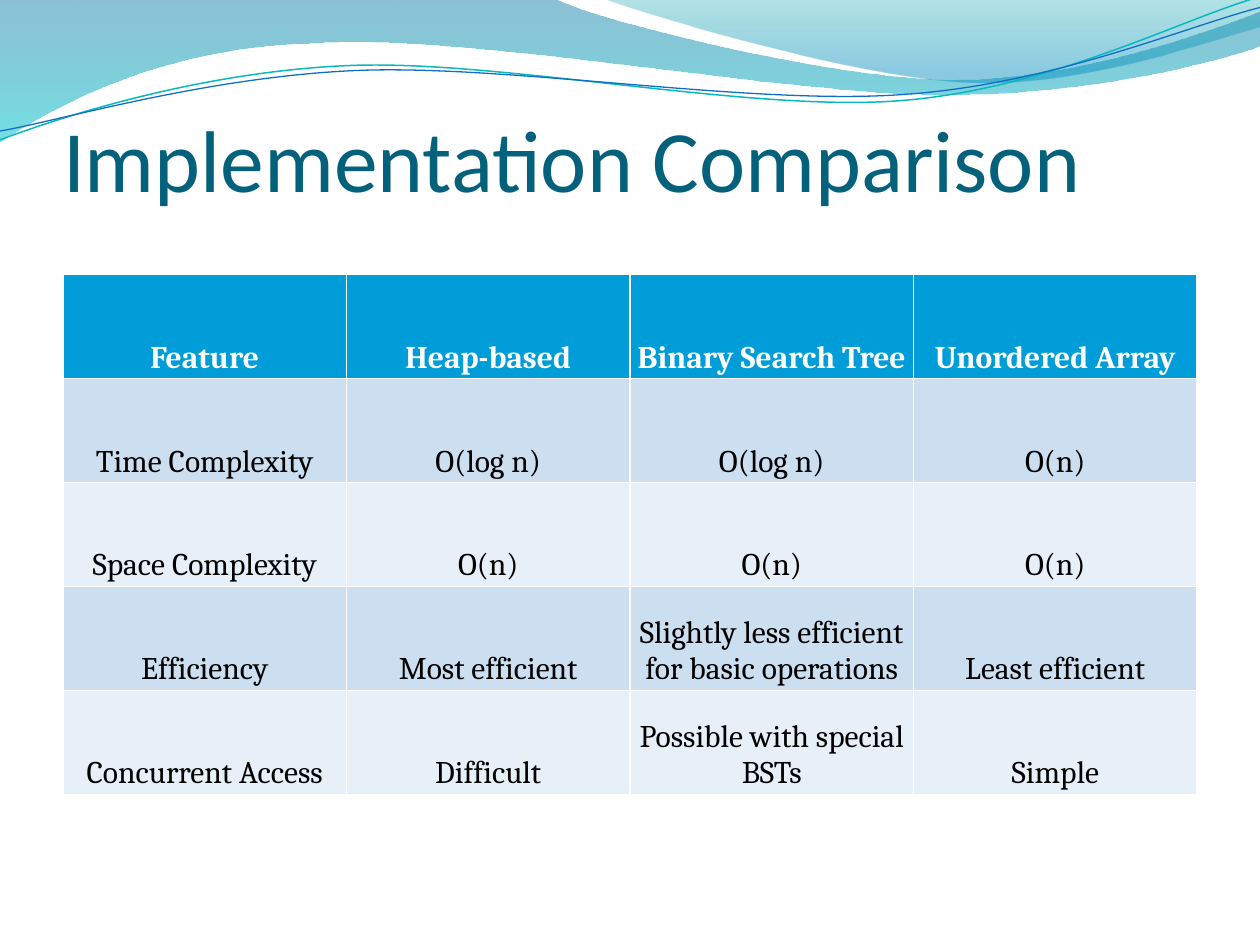
"""Build a slide that compares priority queue implementations in a table."""
import math
from lxml import etree
from pptx import Presentation, util as u
from pptx.dml.color import RGBColor
from pptx.enum import text as t
from pptx.oxml import ns

PX = 9144
TILT = 2.7
HUES = {
    "title": "04617B", "head": "009DD9", "odd": "CCDFF1", "even": "E7EFF8",
    "white": "FFFFFF", "black": "000000", "teal": "0AB8BF", "blue": "0F6FC6",
}
TITLE = "Implementation Comparison"
ROWS = [
    ("Feature", "Heap-based", "Binary Search Tree", "Unordered Array"),
    ("Time Complexity", "O(log n)", "O(log n)", "O(n)"),
    ("Space Complexity", "O(n)", "O(n)", "O(n)"),
    ("Efficiency", "Most efficient", "Slightly less efficient for basic operations", "Least efficient"),
    ("Concurrent Access", "Difficult", "Possible with special BSTs", "Simple"),
]
BANDS = [
    {
        "path": [(0, 0), (440, -1),
                 (476, 17, 664, 63, 758, 63), (853, 63, 958, 26, 1000, 9), (1001, 36),
                 (983, 44, 870, 76, 746, 75), (622, 75, 382, 28, 257, 34), (129, 36, 46, 83, -1, 113)],
        "stops": [(0, "0074A1", 45), (1, "00C6CF", 55)],
    },
    {
        "path": [(479, -1), (509, 11, 682, 62, 769, 65), (856, 69, 961, 32, 1000, 21), (1000, 0)],
        "stops": [(0, "00A1A9", 30), (0.8, "008BBF", 45)],
    },
]
WAVES = [
    {
        "path": [(0, 111), (48, 93, 158, 57, 277, 52), (395, 47, 593, 89, 713, 80), (833, 71, 938, 15, 998, -2)],
        "hue": "teal", "width": 0.85, "mid": (499, 57),
    },
    {
        "path": [(0, 104), (47, 96, 164, 61, 283, 56), (403, 51, 597, 84, 717, 75), (836, 67, 941, 21, 1000, 6)],
        "hue": "blue", "width": 0.75, "mid": (500, 59),
    },
]


def color(name):
    return RGBColor.from_string(HUES.get(name, name))


def turn(part, mid):
    sin, cos = math.sin(math.radians(TILT)), math.cos(math.radians(TILT))
    spots = []
    for x, y in zip(part[::2], part[1::2]):
        dx, dy = x - mid[0], y - mid[1]
        spots += [mid[0] + dx * cos - dy * sin, mid[1] + dx * sin + dy * cos]
    return spots


def draw(slide, path, close):
    dots = [(round(x * PX), round(y * PX)) for part in path for x, y in zip(part[::2], part[1::2])]
    pen = slide.shapes.build_freeform(*dots[0], scale=1.0)
    pen.add_line_segments(dots[1:], close=close)
    shape = pen.convert_to_shape()
    shape.shadow.inherit = False
    lines = iter(list(shape.element.iter(ns.qn("a:lnTo"))))
    for part in path[1:]:
        first = next(lines)
        if len(part) == 6:
            first.tag_name = None
            curve = etree.Element(ns.qn("a:cubicBezTo"))
            first.addprevious(curve)
            for line in (first, next(lines), next(lines)):
                curve.append(line[0])
                line.getparent().remove(line)
    return shape


def add_band(slide, path, stops):
    shape = draw(slide, path, True)
    shape.line.fill.background()
    shape.fill.gradient()
    shape.fill.gradient_angle = 270
    for stop, (place, hue, _) in zip(shape.fill.gradient_stops, stops):
        stop.position = place
        stop.color.rgb = color(hue)
    tags = shape.element.iter(ns.qn("a:srgbClr"))
    for tag, (_, _, alpha) in zip(tags, stops):
        etree.SubElement(tag, ns.qn("a:alpha"), val=str(alpha * 1000))


def add_wave(slide, path, hue, width, mid):
    shape = draw(slide, [turn(part, mid) for part in path], False)
    shape.rotation = -TILT
    shape.fill.background()
    shape.line.color.rgb = color(hue)
    shape.line.width = u.Pt(width)


def write(frame, words, font, size, hue, bold=False, align=t.PP_ALIGN.LEFT):
    frame.word_wrap = True
    para = frame.paragraphs[0]
    para.alignment = align
    run = para.add_run()
    run.text = words
    run.font.name, run.font.size, run.font.bold = font, u.Pt(size), bold
    run.font.color.rgb = color(hue)


def add_title(slide):
    title = slide.shapes.title
    title.left, title.top, title.width, title.height = (n * PX for n in (50, 42, 900, 125))
    frame = title.text_frame
    frame.auto_size = t.MSO_AUTO_SIZE.NONE
    frame.vertical_anchor = t.MSO_ANCHOR.BOTTOM
    frame.margin_left = frame.margin_right = frame.margin_bottom = 0
    frame.margin_top = 5 * PX
    write(frame, TITLE, "Calibri", 50, "title")
    title.element.getparent().append(title.element)


def add_grid(slide):
    box = [n * PX for n in (50, 218, 900, 424)]
    table = slide.shapes.add_table(len(ROWS), len(ROWS[0]), *box).table
    for r, row in enumerate(ROWS):
        head = r == 0
        table.rows[r].height = round(82.5 * PX)
        for c, words in enumerate(row):
            cell = table.cell(r, c)
            cell.fill.solid()
            cell.fill.fore_color.rgb = color("head" if head else "odd" if r % 2 else "even")
            cell.vertical_anchor = t.MSO_ANCHOR.BOTTOM
            cell.margin_left = cell.margin_right = 3 * PX
            cell.margin_top = cell.margin_bottom = 2 * PX
            write(cell.text_frame, words, "Cambria", 18, "white" if head else "black",
                  bold=head, align=t.PP_ALIGN.CENTER)


def main():
    deck = Presentation()
    deck.slide_width, deck.slide_height = 1000 * PX, 750 * PX
    slide = deck.slides.add_slide(deck.slide_layouts[5])
    for band in BANDS:
        add_band(slide, **band)
    for wave in WAVES:
        add_wave(slide, **wave)
    add_title(slide)
    add_grid(slide)
    deck.save("out.pptx")


if __name__ == "__main__":
    main()
